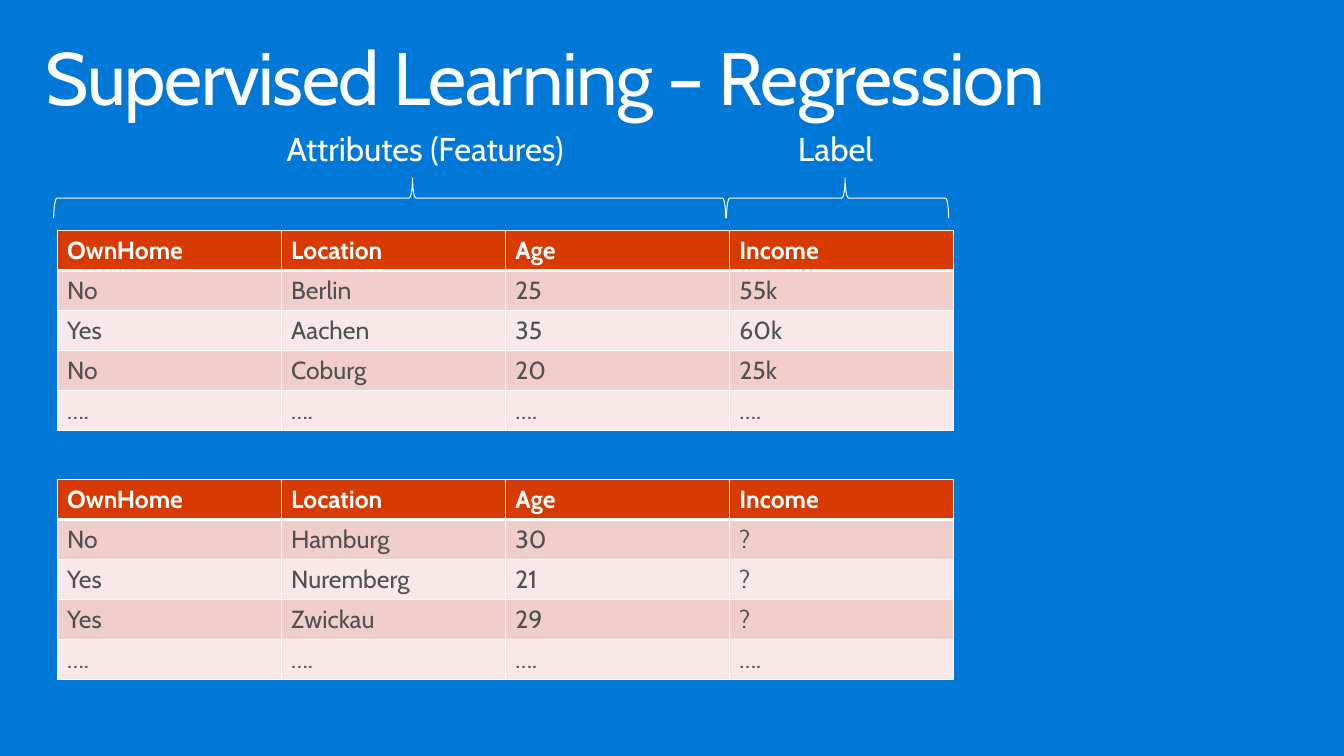
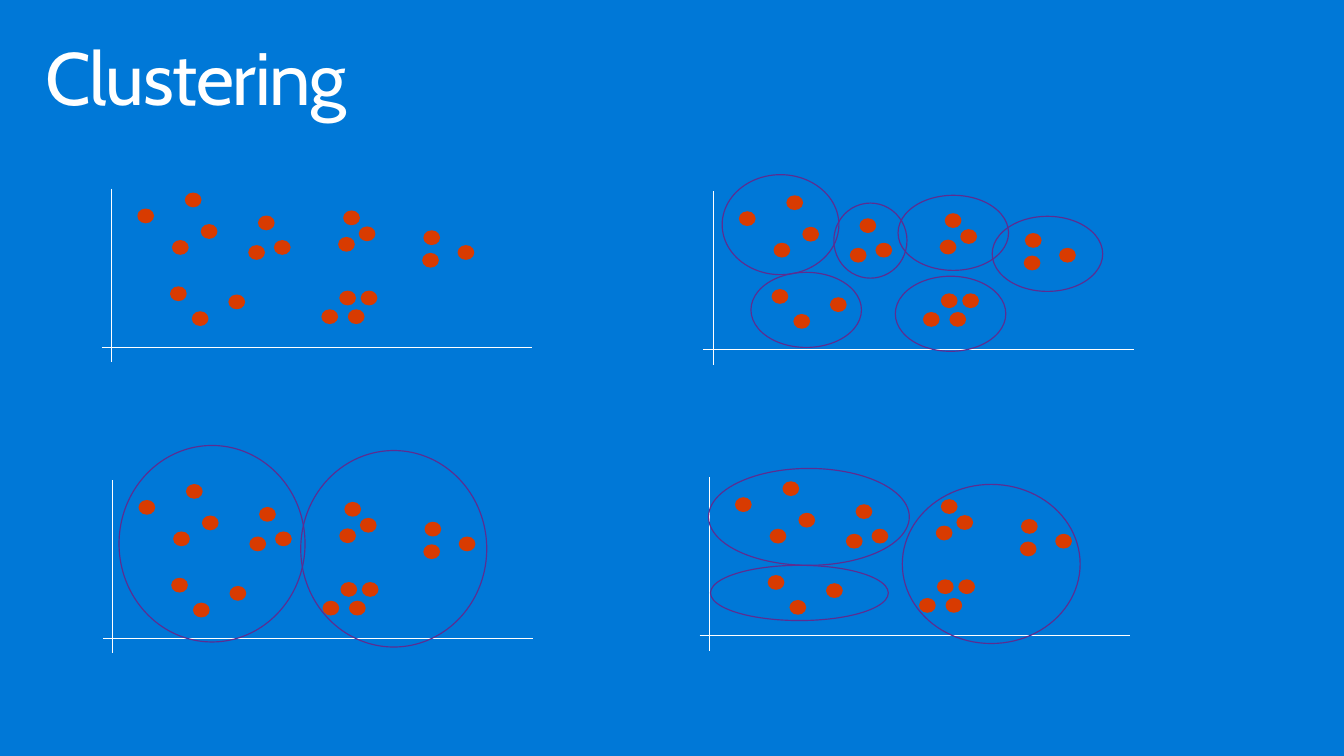
from lxml import etree
from pptx import Presentation
from pptx.dml.color import RGBColor
from pptx.enum.shapes import MSO_CONNECTOR, MSO_SHAPE
from pptx.enum.text import MSO_ANCHOR, MSO_AUTO_SIZE, PP_ALIGN
from pptx.oxml.ns import qn
from pptx.util import Cm, Pt

LEFT, CENTER = PP_ALIGN.LEFT, PP_ALIGN.CENTER
TOP, NO_AUTOFIT = MSO_ANCHOR.TOP, MSO_AUTO_SIZE.NONE
OVAL, BRACE = MSO_SHAPE.OVAL, MSO_SHAPE.LEFT_BRACE
STRAIGHT = MSO_CONNECTOR.STRAIGHT

FONT = "Cabin"
BLUE, ORANGE, PURPLE = "0078D7", "D83B01", "5C2D91"
WHITE, GRAY = "FFFFFF", "505050"
ROW_FILLS = ("F0CECC", "F8E8E7")


def color(target, value):
    """Paint a fill or a line format in one solid hex colour."""
    fill = getattr(target, "fill", target)
    fill.solid()
    fill.fore_color.rgb = RGBColor.from_string(value)


def write(frame, text, size=18, ink=WHITE, bold=False, align=LEFT,
          line_spacing=None, space_after=None, tracking=None, insets=None):
    frame.word_wrap = True
    if insets:
        frame.margin_left = frame.margin_right = Cm(insets[0])
        frame.margin_top = frame.margin_bottom = Cm(insets[1])
    para = frame.paragraphs[0]
    para.alignment = align
    para.line_spacing = line_spacing
    para.space_after = space_after
    span = para.add_run()
    span.text = text
    span.font.name = FONT
    span.font.size = Pt(size)
    span.font.bold = bold
    color(span.font.fill, ink)
    if tracking:
        span.font._element.set("spc", str(tracking))


deck = Presentation()
deck.slide_width, deck.slide_height = Cm(34.54), Cm(19.43)
color(deck.slide_master.background.fill, BLUE)

pages = []
for heading in ("Supervised Learning – Regression", "Clustering"):
    page = deck.slides.add_slide(deck.slide_layouts[5])
    title = page.shapes.title
    title.left, title.top, title.width, title.height = Cm(0.76), Cm(0.81), Cm(33.02), Cm(2.54)
    title.text_frame.vertical_anchor = TOP
    title.text_frame.auto_size = NO_AUTOFIT
    write(title.text_frame, heading, size=54, line_spacing=0.9, tracking=-100,
          insets=(0.41, 0.25))
    pages.append(page)
regression, clustering = pages

# Regression: training rows above, rows to predict below
HEADER = ("OwnHome", "Location", "Age", "Income")
MORE = ("….",) * len(HEADER)
TRAINING = (HEADER, ("No", "Berlin", "25", "55k"), ("Yes", "Aachen", "35", "60k"),
            ("No", "Coburg", "20", "25k"), MORE)
UNLABELED = (HEADER, ("No", "Hamburg", "30", "?"), ("Yes", "Nuremberg", "21", "?"),
             ("Yes", "Zwickau", "29", "?"), MORE)
COLUMN_WIDTH, ROW_HEIGHT = 5.76, 1.03

for top, records in ((5.92, TRAINING), (12.32, UNLABELED)):
    table = regression.shapes.add_table(
        len(records), len(HEADER), Cm(1.47), Cm(top),
        Cm(COLUMN_WIDTH * len(HEADER)), Cm(ROW_HEIGHT * len(records))).table
    for row, record in enumerate(records):
        for column, value in enumerate(record):
            cell = table.cell(row, column)
            is_header = row == 0
            thick_sides = {0: "lnB", 1: "lnT"}
            for side in ("lnL", "lnR", "lnT", "lnB"):
                width = Pt(3 if thick_sides.get(row) == side else 1)
                border = etree.SubElement(cell._tc.get_or_add_tcPr(), qn(f"a:{side}"),
                                          w=str(width))
                solid = etree.SubElement(border, qn("a:solidFill"))
                etree.SubElement(solid, qn("a:srgbClr"), val=WHITE)
            color(cell, ORANGE if is_header else ROW_FILLS[(row - 1) % 2])
            write(cell.text_frame, value, ink=WHITE if is_header else GRAY, bold=is_header)

# Braces lie on their side: each is placed by its horizontal span
BRACE_DEPTH, BRACE_MIDDLE = 1.04, 5.09
for left, span_width in ((1.38, 17.27), (18.67, 5.71)):
    brace = regression.shapes.add_shape(
        BRACE, Cm(left + (span_width - BRACE_DEPTH) / 2), Cm(BRACE_MIDDLE - span_width / 2),
        Cm(BRACE_DEPTH), Cm(span_width))
    brace.rotation = 90
    brace.adjustments[0], brace.adjustments[1] = 0.083, 0.466
    brace.shadow.inherit = False
    brace.fill.background()
    color(brace.line, WHITE)
    brace.line.width = Pt(0.75)

for left, caption, align in ((6.86, "Attributes (Features)", LEFT), (17.17, "Label", CENTER)):
    box = regression.shapes.add_textbox(Cm(left), Cm(3.01), Cm(8.61), Cm(1.75))
    write(box.text_frame, caption, size=24, align=align, line_spacing=0.9,
          space_after=Pt(6), insets=(0.51, 0.41))

# Clustering: the same points in four plots, grouped in different ways.
# Axes, points and clusters are measured from the top left of their plot.
AXES = ((0.25, 0, 0.25, 4.45), (0, 4.07, 11.06, 4.07))
POINTS = (
    (0.91, 0.51), (2.13, 0.1), (1.8, 1.32), (2.54, 0.91), (4.01, 0.69),
    (3.76, 1.45), (4.42, 1.32), (3.25, 2.72), (2.31, 3.15), (1.75, 2.51),
    (6.2, 0.56), (6.6, 0.97), (6.07, 1.24), (6.1, 2.62), (6.65, 2.62),
    (5.64, 3.1), (6.32, 3.1), (8.26, 1.07), (8.23, 1.65), (9.14, 1.45),
)
SIX_CLUSTERS = (
    (0.48, -0.43, 3, 2.57), (3.35, 0.3, 1.88, 1.93), (1.22, 2.08, 2.84, 1.93),
    (7.42, 0.64, 2.84, 1.93), (4.93, 2.18, 2.84, 1.93), (5, 0.1, 2.84, 1.93),
)
TWO_CLUSTERS = ((0.41, -0.89, 4.78, 5.05), (5.08, -0.76, 4.78, 5.05))
THREE_CLUSTERS = ((0.23, -0.23, 5.16, 2.49), (0.28, 2.26, 4.57, 1.42), (5.21, 0.18, 4.57, 4.09))
PLOTS = (
    (2.62, 4.85, ()),
    (18.08, 4.92, SIX_CLUSTERS),
    (2.65, 12.34, TWO_CLUSTERS),
    (17.98, 12.27, THREE_CLUSTERS),
)

for left, top, clusters in PLOTS:
    for x1, y1, x2, y2 in AXES:
        axis = clustering.shapes.add_connector(
            STRAIGHT, Cm(left + x1), Cm(top + y1), Cm(left + x2), Cm(top + y2))
        color(axis.line, WHITE)
        axis.line.width = Pt(0.75)
        etree.SubElement(axis._element.spPr, qn("a:effectLst"))
    for x, y in POINTS:
        point = clustering.shapes.add_shape(OVAL, Cm(left + x), Cm(top + y), Cm(0.43), Cm(0.38))
        point.shadow.inherit = False
        color(point, ORANGE)
        point.line.fill.background()
    for x, y, width, height in clusters:
        cluster = clustering.shapes.add_shape(
            OVAL, Cm(left + x), Cm(top + y), Cm(width), Cm(height))
        cluster.shadow.inherit = False
        cluster.fill.background()
        color(cluster.line, PURPLE)
        cluster.line.width = Pt(0.85)

deck.save("out.pptx")
